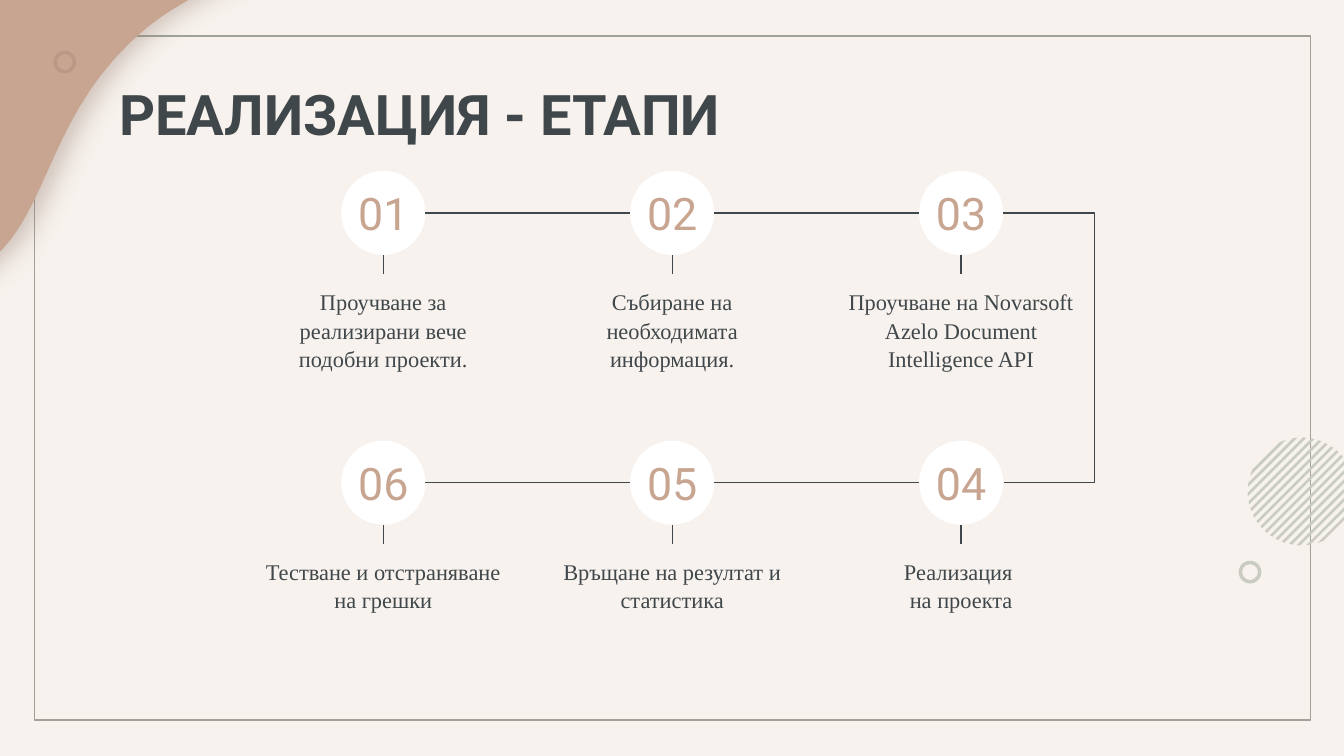
from math import cos, pi, sqrt

from lxml.etree import SubElement
from pptx import Presentation
from pptx.dml.color import RGBColor
from pptx.enum.shapes import MSO_CONNECTOR as Connector, MSO_SHAPE as Shape
from pptx.enum.text import MSO_ANCHOR as Anchor, MSO_AUTO_SIZE as AutoSize, PP_ALIGN as Align
from pptx.oxml.ns import qn
from pptx.util import Cm, Pt

TITLE = "РЕАЛИЗАЦИЯ - ЕТАПИ"
STAGES = [
    "Проучване за реализирани вече подобни проекти.",
    "Събиране на необходимата информация.",
    "Проучване на Novarsoft Azelo Document Intelligence API",
    "Реализация \nна проекта",
    "Връщане на резултат и статистика",
    "Тестване и отстраняване на грешки",
]
COLORS = {
    "background": "F7F2ED", "frame": "A0A299", "wave": "C8A591", "shade": "917769",
    "hatch": "CACCC1", "circle": "FFFFFF", "number": "C8A591", "text": "40474B",
}

# Layout, in centimetres
COLUMNS = 3
CIRCLE = 1.59
FIRST_LEFT, FIRST_TOP = 6.45, 3.23
COLUMN_STEP, ROW_STEP = 5.46, 5.1
STEM = 0.36
LABEL_WIDTH, LABEL_HEIGHT = 4.95, 2.24
TURN_REACH, TURN_WIDTH = 1.72, 0.02
HATCH_CENTER, HATCH_RADIUS = (24.6, 9.29), 1.02
STRIPES, STRIPE_SPREAD, STRIPE_WIDTH = 16, 1.85, 0.05

WAVE_START = (-7.52, 7.57)
WAVE_CURVES = [
    ((-7.34, 6.91), (-5.16, 7.19), (-4.75, 6.63)),
    ((-3.53, 4.52), (-2.01, 6.45), (-0.15, 4.9)),
    ((0.97, 3.96), (0.91, 2.06), (2.79, 0.51)),
    ((4.04, -0.48), (5.66, -0.66), (6.32, -2.51)),
    ((6.78, -3.76), (6.3, -5.41), (5.26, -6.17)),
    ((5.13, -6.27), (5, -6.38), (4.85, -6.45)),
    ((3.25, -7.39), (1.19, -7.47), (-0.58, -6.86)),
    ((-2.49, -6.2), (-4.11, -4.83), (-5.44, -3.28)),
]


def rgb(name):
    return RGBColor.from_string(COLORS[name])


def paint(shape, fill, alpha=None):
    shape.shadow.inherit = False
    shape.line.fill.background()
    shape.fill.solid()
    shape.fill.fore_color.rgb = rgb(fill)
    if alpha:
        color = shape._element.spPr.find(f".//{qn('a:srgbClr')}")
        SubElement(color, qn("a:alpha"), val=str(alpha * 1000))


def add_shape(slide, kind, left, top, width, height):
    return slide.shapes.add_shape(kind, Cm(left), Cm(top), Cm(width), Cm(height))


def add_polygon(slide, points, fill):
    points = [(Cm(x), Cm(y)) for x, y in points]
    builder = slide.shapes.build_freeform(*points[0])
    builder.add_line_segments(points[1:], close=True)
    shape = builder.convert_to_shape()
    paint(shape, fill)
    return shape


def curve_points(start, curves, steps=16):
    """Sample a chain of cubic Bezier curves."""
    points = [start]
    for curve in curves:
        corners = (points[-1], *curve)
        for step in range(1, steps + 1):
            t = step / steps
            weights = ((1 - t) ** 3, 3 * t * (1 - t) ** 2, 3 * t * t * (1 - t), t ** 3)
            points.append(tuple(sum(w * c[axis] for w, c in zip(weights, corners))
                                for axis in (0, 1)))
    return points


def add_wave(slide):
    wave = add_polygon(slide, curve_points(WAVE_START, WAVE_CURVES), "wave")
    shadow = SubElement(wave._element.spPr.find(qn("a:effectLst")), qn("a:outerShdw"),
                        blurRad=str(Pt(14)), dist=str(Pt(5.6)), dir="360000",
                        algn="bl", rotWithShape="0")
    color = SubElement(shadow, qn("a:srgbClr"), val=COLORS["shade"])
    SubElement(color, qn("a:alpha"), val="40000")


def add_ring(slide, left, top, fill, alpha=None):
    ring = add_shape(slide, Shape.DONUT, left, top, 0.43, 0.43)
    ring.adjustments[0] = 0.15
    paint(ring, fill, alpha)


def add_hatched_disc(slide):
    """Diagonal stripes whose ends follow a circle."""
    center_x, center_y = HATCH_CENTER
    diagonal = cos(pi / 4)
    for index in range(STRIPES):
        middle = STRIPE_SPREAD * (index / (STRIPES - 1) - 0.5)
        corners = []
        for side in (-1, 1):
            offset = middle + side * STRIPE_WIDTH / 2
            reach = sqrt(HATCH_RADIUS ** 2 - offset ** 2)
            for end in (-side, side):
                corners.append((center_x + diagonal * (offset + end * reach),
                                center_y + diagonal * (offset - end * reach)))
        add_polygon(slide, corners, "hatch")


def add_line(slide, x1, y1, x2, y2, kind=Connector.STRAIGHT):
    line = slide.shapes.add_connector(kind, Cm(x1), Cm(y1), Cm(x2), Cm(y2))
    line.line.color.rgb = rgb("text")
    line.line.width = Pt(0.75)
    SubElement(line._element.spPr, qn("a:effectLst"))
    return line


def add_turn(slide, x, top, bottom):
    """Join the two rows with a bracket that reaches out to the right."""
    turn = add_line(slide, x, top, x + TURN_WIDTH, bottom, Connector.ELBOW)
    geometry = turn._element.spPr.find(qn("a:prstGeom"))
    guides = geometry.find(qn("a:avLst"))
    if guides is None:
        guides = SubElement(geometry, qn("a:avLst"))
    reach = round(TURN_REACH / TURN_WIDTH * 100000)
    SubElement(guides, qn("a:gd"), name="adj1", fmla=f"val {reach}")


def set_text(shape, text, font, size, color, align, anchor, side_inset, bold=False, spacing=1.0):
    frame = shape.text_frame
    frame.text = text
    frame.word_wrap = True
    frame.auto_size = AutoSize.NONE
    frame.vertical_anchor = anchor
    frame.margin_left = frame.margin_right = Cm(side_inset)
    frame.margin_top = frame.margin_bottom = Cm(0.25)
    for paragraph in frame.paragraphs:
        paragraph.alignment = align
        paragraph.line_spacing = spacing
        for run in paragraph.runs:
            run.font.name = font
            run.font.size = Pt(size)
            run.font.bold = bold
            run.font.color.rgb = rgb(color)


def add_stage(slide, index, text):
    row, position = divmod(index, COLUMNS)
    column = COLUMNS - 1 - position if row else position  # the second row runs backwards
    left, top = FIRST_LEFT + column * COLUMN_STEP, FIRST_TOP + row * ROW_STEP
    center_x, center_y, bottom = left + CIRCLE / 2, top + CIRCLE / 2, top + CIRCLE

    circle = add_shape(slide, Shape.OVAL, left, top, CIRCLE, CIRCLE)
    paint(circle, "circle")
    set_text(circle, f"{index + 1:02}", "Roboto", 24, "number", Align.CENTER, Anchor.MIDDLE, 0)

    add_line(slide, center_x, bottom, center_x, bottom + STEM)
    label = slide.shapes.add_textbox(Cm(center_x - LABEL_WIDTH / 2), Cm(bottom + STEM),
                                     Cm(LABEL_WIDTH), Cm(LABEL_HEIGHT))
    set_text(label, text, "Times New Roman", 12, "text", Align.CENTER, Anchor.TOP, 0.15,
             spacing=1.05)

    right = left + CIRCLE
    if column < COLUMNS - 1:
        add_line(slide, right, center_y, left + COLUMN_STEP, center_y)
    elif row == 0:
        add_turn(slide, right, center_y, center_y + ROW_STEP)


def main():
    presentation = Presentation()
    presentation.slide_width, presentation.slide_height = Cm(25.4), Cm(14.29)
    slide = presentation.slides.add_slide(presentation.slide_layouts[5])
    slide.background.fill.solid()
    slide.background.fill.fore_color.rgb = rgb("background")

    frame = add_shape(slide, Shape.RECTANGLE, 0.65, 0.68, 24.12, 12.93)
    frame.shadow.inherit = False
    frame.fill.background()
    frame.line.color.rgb = rgb("frame")
    frame.line.width = Pt(0.75)

    add_wave(slide)
    add_ring(slide, 1.01, 0.96, "shade", alpha=27)
    add_ring(slide, 23.41, 10.6, "hatch")
    add_hatched_disc(slide)

    title = slide.shapes.title
    title.left, title.top, title.width, title.height = Cm(2), Cm(1.25), Cm(21.4), Cm(1.6)
    set_text(title, TITLE, "Roboto", 30, "text", Align.LEFT, Anchor.TOP, 0.25, bold=True)

    for index, text in enumerate(STAGES):
        add_stage(slide, index, text)
    presentation.save("out.pptx")


if __name__ == "__main__":
    main()
